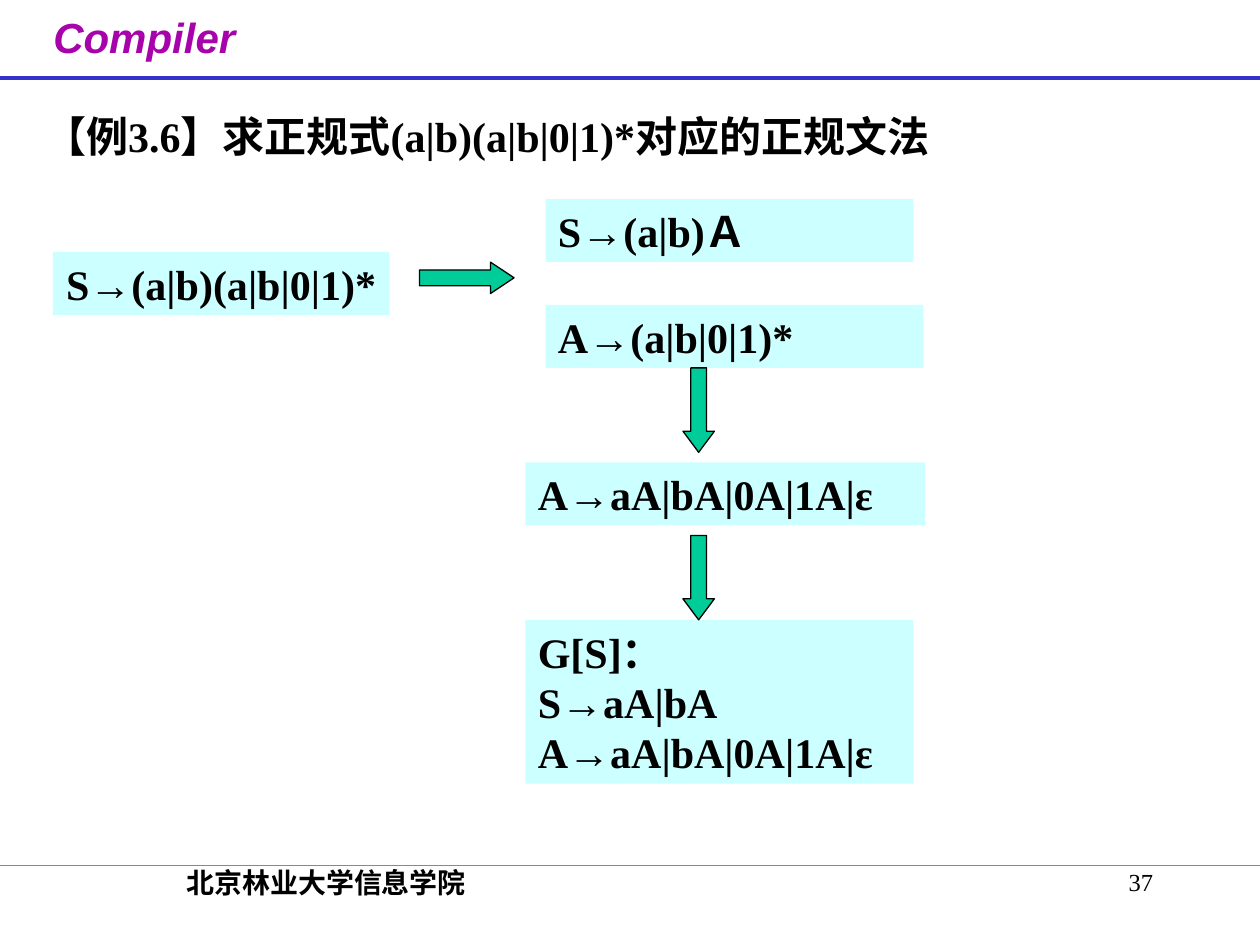
from lxml import etree
from pptx import Presentation
from pptx.dml.color import RGBColor
from pptx.enum.shapes import MSO_CONNECTOR, MSO_SHAPE
from pptx.enum.text import MSO_ANCHOR, MSO_AUTO_SIZE, PP_ALIGN as ALIGN
from pptx.oxml.ns import qn
from pptx.util import Inches, Pt

SERIF = "Times New Roman"
BLACK, CYAN, GREEN, BLUE, PURPLE = "000000", "CCFFFF", "00CC99", "3333CC", "A603AB"


def rgb(hex_color):
    return RGBColor.from_string(hex_color)


def place(sp, left, top, width, height):
    sp.left, sp.top = Inches(left), Inches(top)
    sp.width, sp.height = Inches(width), Inches(height)


def set_text(sp, lines, size=24, align=ALIGN.JUSTIFY, font=SERIF, color=BLACK,
             bold=True, italic=False, wrap=True, grow=False):
    tf = sp.text_frame
    tf.word_wrap = wrap
    tf.auto_size = MSO_AUTO_SIZE.SHAPE_TO_FIT_TEXT if grow else MSO_AUTO_SIZE.NONE
    tf.vertical_anchor = MSO_ANCHOR.TOP
    tf.text = "\n".join(lines)
    for p in tf.paragraphs:
        p.alignment = align
        p.font.name, p.font.size = font, Pt(size)
        p.font.bold, p.font.italic = bold, italic
        p.font.color.rgb = rgb(color)


def add_label(slide, box, text, **style):
    sp = slide.shapes.add_textbox(*map(Inches, box))
    set_text(sp, [text], **style)


def add_rule(slide, y, color, width):
    line = slide.shapes.add_connector(
        MSO_CONNECTOR.STRAIGHT, 0, Inches(y), Inches(10), Inches(y))
    line.line.color.rgb = rgb(color)
    line.line.width = Pt(width)
    etree.SubElement(line._element.spPr, qn("a:effectLst"))


def add_filled(slide, kind, box, fill):
    sp = slide.shapes.add_shape(kind, *map(Inches, box))
    sp.shadow.inherit = False
    sp.fill.solid()
    sp.fill.fore_color.rgb = rgb(fill)
    return sp


def add_grammar(slide, box, lines, align=ALIGN.JUSTIFY):
    sp = add_filled(slide, MSO_SHAPE.RECTANGLE, box, CYAN)
    sp.line.fill.background()
    set_text(sp, lines, align=align, grow=True)


def add_arrow(slide, kind, box, head):
    sp = add_filled(slide, kind, box, GREEN)
    sp.adjustments[0], sp.adjustments[1] = 0.5, head
    sp.line.color.rgb = rgb(BLACK)
    sp.line.width = Pt(0.75)


def main():
    prs = Presentation()
    prs.slide_width, prs.slide_height = Inches(10), Inches(7.5)
    slide = prs.slides.add_slide(prs.slide_layouts[5])

    # Header and footer
    add_label(slide, (0.19, 0.04, 1.91, 0.62), "Compiler", font="Arial",
              color=PURPLE, italic=True, align=ALIGN.CENTER, wrap=False)
    add_rule(slide, 0.62, BLUE, 2.25)
    add_rule(slide, 6.87, GREEN, 0.75)
    add_label(slide, (0.52, 6.82, 4.14, 0.5), "北京林业大学信息学院",
              size=16, align=ALIGN.CENTER)
    add_label(slide, (7.17, 6.83, 2.08, 0.5), "37",
              size=14, bold=False, align=ALIGN.RIGHT)

    # Exercise
    title = slide.shapes.title
    place(title, 0.25, 0.83, 8.75, 0.5)
    set_text(title, ["【例3.6】求正规式(a|b)(a|b|0|1)*对应的正规文法"], grow=True)

    # Derivation steps
    star_rule = "A→aA|bA|0A|1A|ε"
    add_grammar(slide, (0.42, 2, 2.67, 0.5), ["S→(a|b)(a|b|0|1)*"], ALIGN.CENTER)
    add_grammar(slide, (4.33, 1.58, 2.92, 0.5), ["S→(a|b)Ａ"], ALIGN.LEFT)
    add_grammar(slide, (4.33, 2.42, 3, 0.5), ["A→(a|b|0|1)*"])
    add_grammar(slide, (4.17, 3.67, 3.17, 0.5), [star_rule])
    add_grammar(slide, (4.17, 4.92, 3.08, 1.3), ["G[S]：", "S→aA|bA", star_rule])

    # Arrows between the steps
    add_arrow(slide, MSO_SHAPE.RIGHT_ARROW, (3.33, 2.08, 0.75, 0.25), 0.75)
    for top in (2.92, 4.25):
        add_arrow(slide, MSO_SHAPE.DOWN_ARROW, (5.42, top, 0.25, 0.67), 0.67)

    prs.save("out.pptx")


if __name__ == "__main__":
    main()
